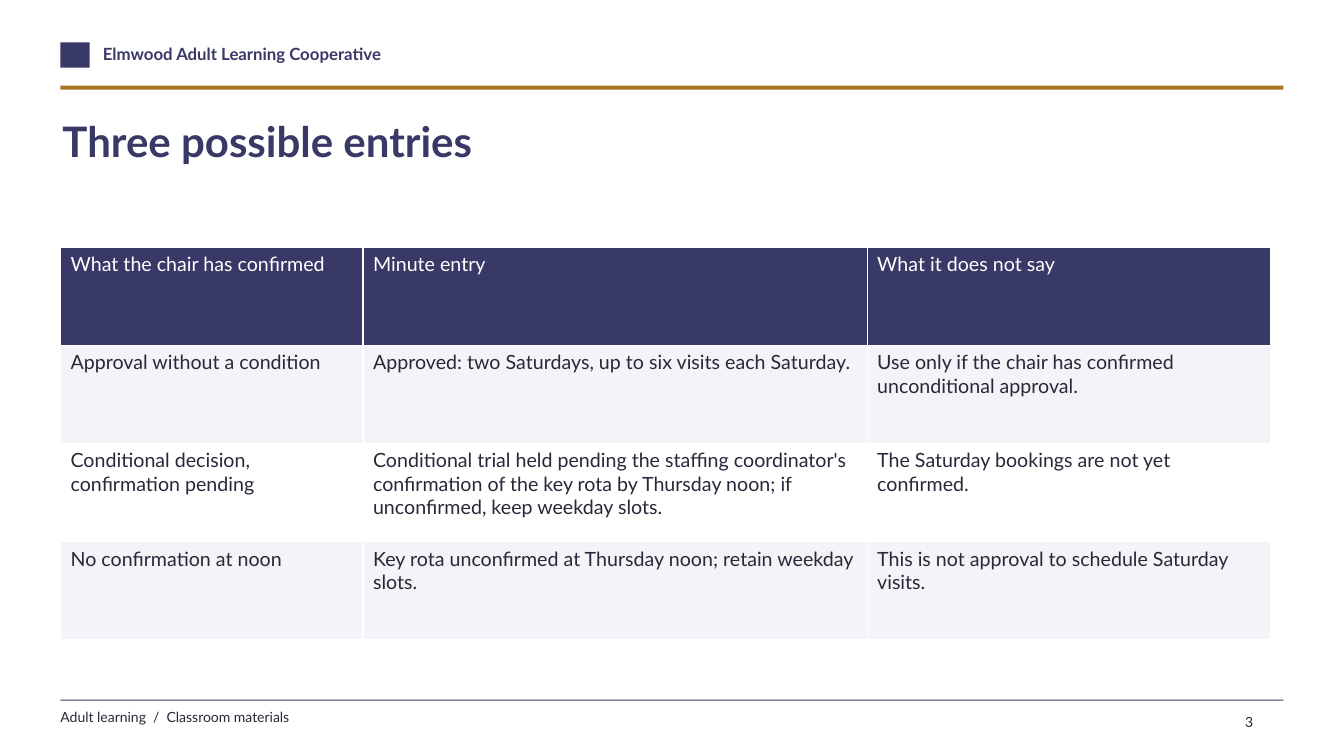
from pptx import Presentation
from pptx.dml.color import RGBColor as RGB
from pptx.enum.shapes import MSO_SHAPE as Shape
from pptx.util import Inches, Pt

FONT = "Lato"
COLORS = {
    "navy": "393967",
    "gold": "A87323",
    "ink": "29283A",
    "band": "F4F3F7",
    "white": "FFFFFF",
}

# Grid: left margin, full content width and one table column unit, in inches
MARGIN, CONTENT_W, UNIT = 0.6, 12.13, 1
COL_UNITS = (3, 5, 4)
TABLE_TOP, ROW_H = 2.45, 0.975

ROWS = [
    ("What the chair has confirmed", "Minute entry", "What it does not say"),
    ("Approval without a condition",
     "Approved: two Saturdays, up to six visits each Saturday.",
     "Use only if the chair has confirmed unconditional approval."),
    ("Conditional decision, confirmation pending",
     "Conditional trial held pending the staffing coordinator's confirmation "
     "of the key rota by Thursday noon; if unconfirmed, keep weekday slots.",
     "The Saturday bookings are not yet confirmed."),
    ("No confirmation at noon",
     "Key rota unconfirmed at Thursday noon; retain weekday slots.",
     "This is not approval to schedule Saturday visits."),
]


def color(name):
    return RGB.from_string(COLORS[name])


def style(p, size, name, bold=False):
    p.font.name = FONT
    p.font.size = Pt(size)
    p.font.bold = bold
    p.font.color.rgb = color(name)


def add_bar(s, left, top, width, height, fill):
    sp = s.shapes.add_shape(Shape.RECTANGLE, *map(Inches, (left, top, width, height)))
    sp.shadow.inherit = False
    sp.fill.solid()
    sp.fill.fore_color.rgb = color(fill)
    sp.line.fill.background()


def add_text(s, text, box, size, name, bold=False, inset=(0, 0)):
    tf = s.shapes.add_textbox(*map(Inches, box)).text_frame
    tf.word_wrap = True
    tf.margin_left = tf.margin_right = Inches(inset[0])
    tf.margin_top = tf.margin_bottom = Inches(inset[1])
    p = tf.paragraphs[0]
    p.text = text
    style(p, size, name, bold)


def add_entries_table(s):
    box = (MARGIN, TABLE_TOP, sum(COL_UNITS) * UNIT, len(ROWS) * ROW_H)
    table = s.shapes.add_table(len(ROWS), len(COL_UNITS), *map(Inches, box)).table
    for column, units in zip(table.columns, COL_UNITS):
        column.width = Inches(units * UNIT)
    for i, texts in enumerate(ROWS):
        # Header first, then alternating bands
        fill = "navy" if i == 0 else "band" if i % 2 else "white"
        for j, text in enumerate(texts):
            cell = table.cell(i, j)
            cell.fill.solid()
            cell.fill.fore_color.rgb = color(fill)
            cell.text = text
            style(cell.text_frame.paragraphs[0], 14, "ink" if i else "white")


def main():
    prs = Presentation()
    prs.slide_width, prs.slide_height = Inches(13.33), Inches(7.5)
    s = prs.slides.add_slide(prs.slide_layouts[6])

    # Header with a plain marker
    add_bar(s, MARGIN, 0.42, 0.29, 0.25, "navy")
    add_text(s, "Elmwood Adult Learning Cooperative", (1.02, 0.43, 6, 0.28),
             12, "navy", bold=True)
    add_bar(s, MARGIN, 0.85, CONTENT_W, 0.04, "gold")

    # Title and table
    add_text(s, "Three possible entries", (0.62, 1.15, 12, 1.05), 30, "navy", bold=True)
    add_entries_table(s)

    # Footer
    add_bar(s, MARGIN, 6.94, CONTENT_W, 0.01, "navy")
    add_text(s, "Adult learning  /  Classroom materials", (MARGIN, 7.03, 7, 0.23),
             10, "ink")
    add_text(s, "3", (12.25, 7.03, 0.45, 0.25), 10, "ink", inset=(0.1, 0.05))

    prs.save("out.pptx")


if __name__ == "__main__":
    main()
